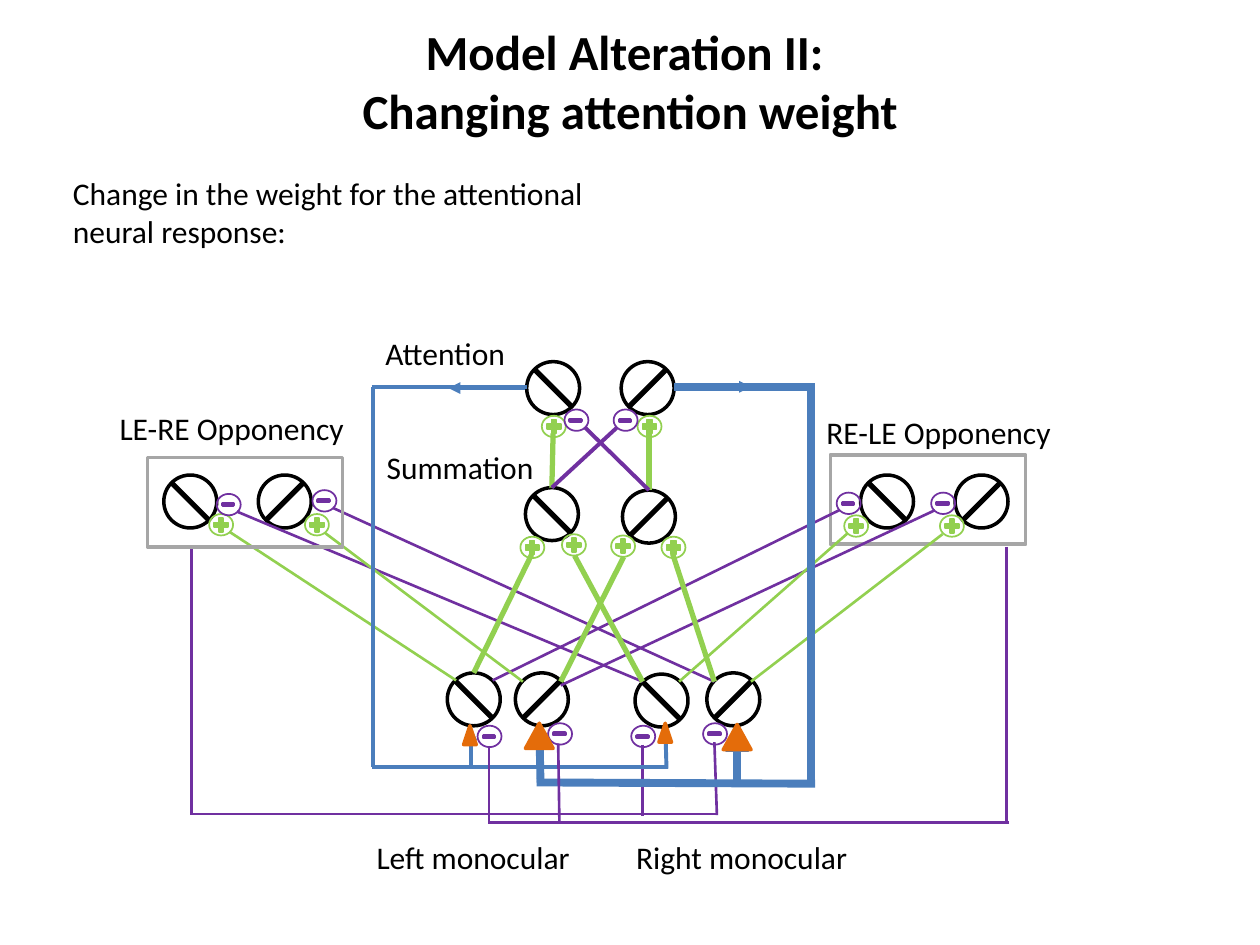
from dataclasses import dataclass

from lxml import etree
from pptx import Presentation
from pptx.dml.color import RGBColor
from pptx.enum.shapes import MSO_CONNECTOR as Connector, MSO_SHAPE as Shape
from pptx.enum.text import MSO_ANCHOR as Anchor, MSO_AUTO_SIZE as AutoSize, PP_ALIGN as Align
from pptx.oxml.ns import qn
from pptx.util import Cm, Pt


@dataclass(frozen=True)
class Theme:
    font: str = "Calibri"
    title_size: float = 28
    body_size: float = 18
    ink: str = "000000"
    paper: str = "FFFFFF"
    frame: str = "A6A6A6"
    excite: str = "92D050"
    inhibit: str = "7030A0"
    minus: str = "4F81BD"
    attention: str = "4B7EBC"
    arrow: str = "E46C0A"


def grid(units):
    """Turn layout grid units (2.54 cm each) into a length."""
    return Cm(units * 2.54)


class Diagram:
    neuron_size = 0.42
    sign_size = (0.19, 0.17)

    def __init__(self, slide, theme):
        self.slide, self.theme = slide, theme

    def style_text(self, para, size, bold=False):
        values = {"name": self.theme.font, "size": Pt(size), "bold": bold}
        for name, value in values.items():
            setattr(para.font, name, value)
        para.font.color.rgb = RGBColor.from_string(self.theme.ink)

    def title(self, lines, left, top, width, height):
        holder = self.slide.shapes.title
        places = {"left": left, "top": top, "width": width, "height": height}
        for name, value in places.items():
            setattr(holder, name, grid(value))
        frame = holder.text_frame
        frame.vertical_anchor = Anchor.MIDDLE
        para = frame.paragraphs[0]
        para.alignment = Align.CENTER
        for number, line in enumerate(lines):
            if number:
                para.add_line_break()
            para.add_run().text = line
        self.style_text(para, self.theme.title_size, bold=True)

    def label(self, lines, left, top, width, height):
        box = self.slide.shapes.add_textbox(*map(grid, (left, top, width, height)))
        frame = box.text_frame
        frame.word_wrap = False
        frame.auto_size = AutoSize.SHAPE_TO_FIT_TEXT
        for number, line in enumerate(lines):
            para = frame.add_paragraph() if number else frame.paragraphs[0]
            para.text = line
            self.style_text(para, self.theme.body_size)

    def shape(self, kind, left, top, width, height, line, weight, fill=None):
        item = self.slide.shapes.add_shape(kind, *map(grid, (left, top, width, height)))
        item.shadow.inherit = False
        if fill:
            item.fill.solid()
            item.fill.fore_color.rgb = RGBColor.from_string(fill)
        else:
            item.fill.background()
        item.line.color.rgb = RGBColor.from_string(line)
        item.line.width = Pt(weight)

    def line(self, x1, y1, x2, y2, color, weight, arrow=False):
        item = self.slide.shapes.add_connector(Connector.STRAIGHT, *map(grid, (x1, y1, x2, y2)))
        item.line.color.rgb = RGBColor.from_string(color)
        item.line.width = Pt(weight)
        if arrow:
            etree.SubElement(item.line._get_or_add_ln(), qn("a:tailEnd"), type="triangle")
        etree.SubElement(item._element.spPr, qn("a:effectLst"))

    def lines(self, color, weight, ends, arrow=False):
        for end in ends:
            self.line(*end, color, weight, arrow)

    def neuron(self, left, top, rising):
        size, ink = self.neuron_size, self.theme.ink
        self.shape(Shape.OVAL, left, top, size, size, ink, 2, self.theme.paper)
        near, far = 0.06, 0.36
        start, end = (far, near) if rising else (near, far)
        self.line(left + start, top + near, left + end, top + far, ink, 3)

    def plus(self, left, top):
        color = self.theme.excite
        self.shape(Shape.MATH_PLUS, left + 0.02, top + 0.01, 0.15, 0.15, color, 1, color)
        self.shape(Shape.OVAL, left, top, *self.sign_size, color, 1)

    def minus(self, left, top):
        color = self.theme.inhibit
        self.shape(Shape.OVAL, left, top, *self.sign_size, color, 1)
        self.shape(Shape.MATH_MINUS, left + 0.03, top + 0.06, 0.12, 0.05, color, 2,
                   self.theme.minus)

    def frame(self, left, top):
        self.shape(Shape.RECTANGLE, left, top, 1.55, 0.71, self.theme.frame, 2)

    def arrowhead(self, left, top, width, height):
        color = self.theme.arrow
        self.shape(Shape.ISOSCELES_TRIANGLE, left, top, width, height, color, 2, color)


def main():
    deck = Presentation()
    deck.slide_width, deck.slide_height = grid(10), grid(7.5)
    page = deck.slides.add_slide(deck.slide_layouts[5])
    theme = Theme()
    art = Diagram(page, theme)

    art.title(["Model Alteration II: ", "Changing attention weight"], 0, -0.01, 10, 1.3)

    # Neurons: each pair holds a falling and a rising bar
    neuron_pairs = [
        ((4.18, 2.87), (4.93, 2.87)),  # attention
        ((4.17, 3.87), (4.94, 3.89)),  # summation
        ((3.55, 5.34), (4.09, 5.34)),  # left monocular
        ((5.04, 5.35), (5.61, 5.34)),  # right monocular
        ((1.3, 3.77), (2.05, 3.77)),   # LE-RE opponency
        ((6.83, 3.77), (7.58, 3.77)),  # RE-LE opponency
    ]
    for pair in neuron_pairs:
        for rising, place in enumerate(pair):
            art.neuron(*place, rising)
    art.frame(6.59, 3.61)

    # Summation to attention
    art.lines(theme.excite, 3, [(4.38, 3.87, 4.39, 3.44), (5.15, 3.89, 5.15, 3.44)])
    art.lines(theme.inhibit, 2.25, [(5.15, 3.89, 4.64, 3.39), (4.9, 3.39, 4.38, 3.87)])

    # Monocular to opponency, and opponency feedback on the left
    art.lines(theme.inhibit, 1.5, [
        (4.45, 5.44, 7.42, 4.05), (3.91, 5.4, 6.66, 4.05),
        (1.51, 6.46, 5.69, 6.46), (5.67, 5.89, 5.69, 6.47),
        (5.1, 5.91, 5.1, 6.48), (1.52, 4.35, 1.52, 6.47),
        (2.64, 4.03, 5.67, 5.41), (1.88, 4.06, 5.1, 5.41),
    ])
    art.lines(theme.excite, 1.5, [
        (5.39, 5.41, 6.73, 4.23), (5.96, 5.41, 7.48, 4.24),
        (1.82, 4.22, 3.62, 5.4), (2.58, 4.23, 4.15, 5.41),
    ])

    # Attention feedback: thin on the left, heavy on the right
    art.lines(theme.attention, 2.25, [
        (2.96, 3.07, 2.96, 6.09), (2.95, 6.09, 5.3, 6.09), (2.95, 3.07, 4.18, 3.07),
    ])
    art.lines(theme.attention, 2.25, [
        (3.74, 6.1, 3.74, 5.78), (5.29, 6.1, 5.28, 5.77),
    ], arrow=True)
    art.lines(theme.attention, 4.5, [(5.35, 3.07, 6.47, 3.07), (6.47, 6.22, 4.26, 6.21)])
    art.lines(theme.attention, 4.5, [
        (5.85, 6.22, 5.85, 5.78), (4.29, 6.21, 4.28, 5.76),
    ], arrow=True)

    # Opponency feedback on the right
    art.lines(theme.inhibit, 1.5, [
        (4.43, 5.9, 4.44, 6.53), (8.01, 6.53, 3.87, 6.53),
        (3.88, 5.92, 3.88, 6.53), (7.99, 4.34, 7.99, 6.52),
    ])

    # Excitatory and inhibitory signs
    for place in [(4.13, 4.26), (4.46, 4.24), (4.85, 4.25), (5.25, 4.26), (4.3, 3.3),
                  (5.06, 3.3), (1.66, 4.08), (2.42, 4.08), (6.7, 4.09), (7.46, 4.09)]:
        art.plus(*place)
    for place in [(1.72, 3.92), (2.48, 3.89), (6.64, 3.91), (7.39, 3.91), (5.01, 5.76),
                  (5.58, 5.74), (4.35, 5.74), (3.79, 5.76), (4.48, 3.25), (4.87, 3.25)]:
        art.minus(*place)

    # Monocular to summation
    art.lines(theme.excite, 3, [
        (3.76, 5.34, 4.22, 4.4), (4.45, 5.41, 4.95, 4.42),
        (4.56, 4.41, 5.1, 5.41), (5.67, 5.41, 5.34, 4.4),
    ])
    art.frame(1.17, 3.63)

    # Right attention trunk and the direction arrows
    art.line(6.44, 3.06, 6.44, 6.23, theme.attention, 4.5)
    art.lines(theme.attention, 2.25, [
        (5.35, 3.07, 5.96, 3.07), (4.17, 3.08, 3.56, 3.08),
    ], arrow=True)
    for place in [(5.74, 5.75, 0.22, 0.2), (4.17, 5.74, 0.22, 0.2),
                  (3.68, 5.76, 0.1, 0.15), (5.23, 5.74, 0.1, 0.15)]:
        art.arrowhead(*place)

    # Labels
    for text, left, top, width in [
        ("RE-LE Opponency", 6.46, 3.23, 2.01),
        ("LE-RE Opponency", 0.85, 3.2, 2.01),
        ("Attention", 2.96, 2.6, 1.17),
        ("Summation", 2.97, 3.51, 1.38),
        ("Left monocular", 2.89, 6.6, 1.76),
        ("Right monocular", 4.95, 6.6, 1.9),
    ]:
        art.label([text], left, top, width, 0.4)
    art.label(["Change in the weight for the attentional", "neural response:"],
              0.48, 1.33, 4.39, 0.71)

    deck.save("out.pptx")


if __name__ == "__main__":
    main()
